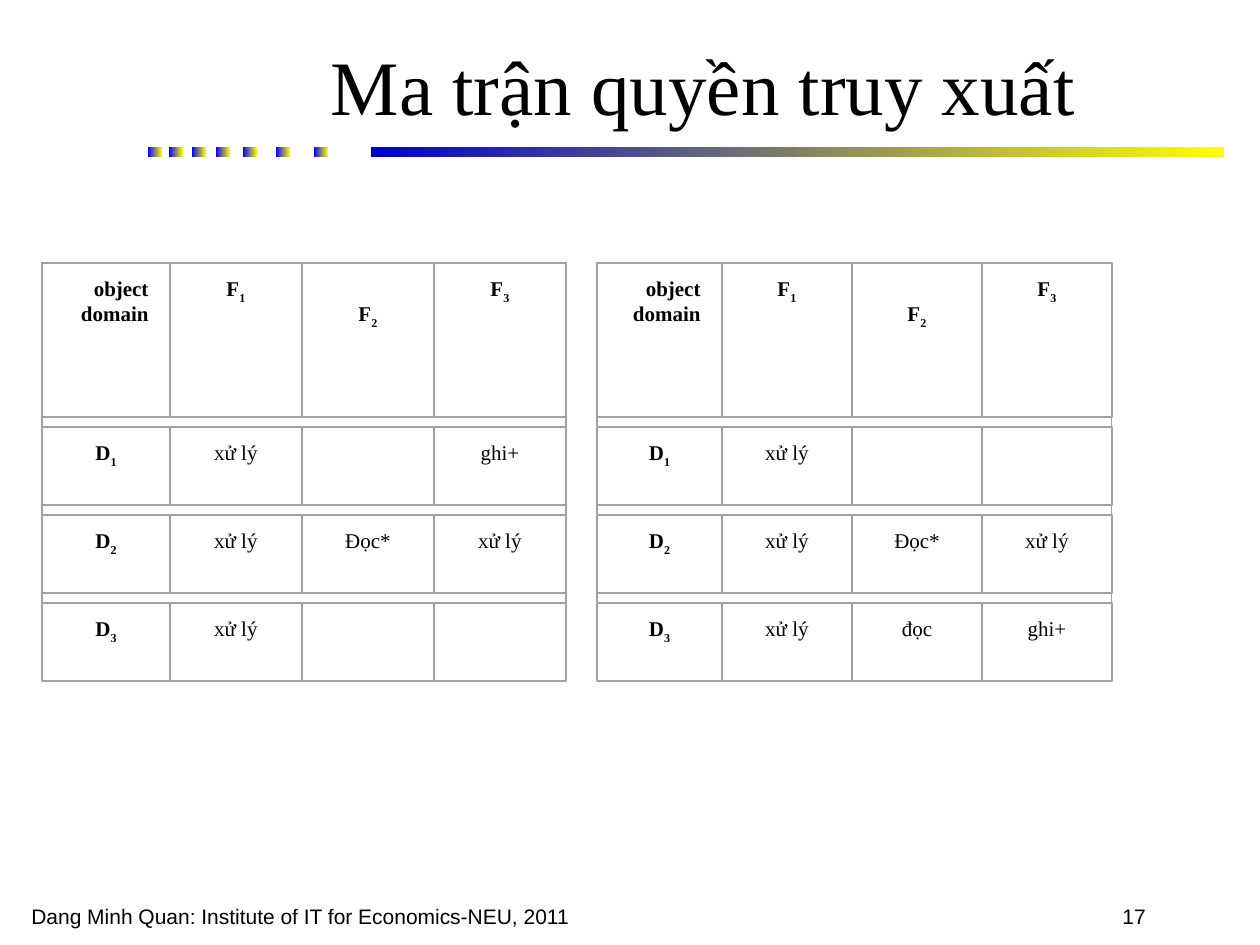
from itertools import accumulate
from pptx import Presentation, util as u
from pptx.dml.color import RGBColor
from pptx.enum import shapes as s, text as t

# Content: "_" marks the subscript that follows
TITLE = "Ma trận quyền truy xuất"
FOOT = "Dang Minh Quan: Institute of IT for Economics-NEU, 2011"
PAGE = "17"
HEAD = ["object\ndomain", "F_1", "F_2", "F_3"]
TABLES = [  # left edge, column widths, rows
    (42, [128, 132, 132, 132], [
        HEAD,
        ["D_1", "xử lý", "", "ghi+"],
        ["D_2", "xử lý", "Đọc*", "xử lý"],
        ["D_3", "xử lý", "", ""]]),
    (597, [125, 130, 130, 130], [
        HEAD,
        ["D_1", "xử lý", "", ""],
        ["D_2", "xử lý", "Đọc*", "xử lý"],
        ["D_3", "xử lý", "đọc", "ghi+"]]),
]
DOTS = [148, 169, 192, 216, 243, 276, 314]
TOP, GAP, HEIGHTS = 263, 10, [154, 78, 78, 78]
LINE = 25  # height of one line of cell text
COLORS = {"ink": "000000", "rule": "A0A0A0", "sun": "FFFF00",
          "dot": "0000FF", "bar": "0000CC"}
SERIF, SANS = "Times New Roman", "Arial"
LEFT, MID, RIGHT = t.PP_ALIGN.LEFT, t.PP_ALIGN.CENTER, t.PP_ALIGN.RIGHT


def px(n):
    return u.Emu(round(n * 914400 / 126))


def color(name):
    return RGBColor.from_string(COLORS[name])


def rect(home, *box):
    shape = home.shapes.add_shape(s.MSO_SHAPE.RECTANGLE, *map(px, box))
    shape.shadow.inherit = False
    return shape


def band(home, box, name):
    shape = rect(home, *box)
    shape.line.fill.background()
    shape.fill.gradient()
    shape.fill.gradient_angle = 180
    for stop, key in zip(shape.fill.gradient_stops, ("sun", name)):
        stop.color.rgb = color(key)


def frame(home, box, width):
    shape = rect(home, *box)
    shape.fill.background()
    shape.line.color.rgb = color("rule")
    shape.line.width = u.Pt(width)


def write(home, box, words, size=12, font=SERIF, align=MID, bold=False):
    body = home.shapes.add_textbox(*map(px, box)).text_frame
    body.word_wrap = True
    body.text = words
    for para in body.paragraphs:
        para.alignment = align
        base, _, sub = para.text.partition("_")
        para.text = base
        if sub:
            low = para.add_run()
            low.text = sub
            low.font._element.set("baseline", "-30000")
        for run in para.runs:
            run.font.name, run.font.size = font, u.Pt(size)
            run.font.bold = bold
            run.font.color.rgb = color("ink")
    return body


def matrix(slide, left, widths, rows):
    group = slide.shapes.add_group_shape()
    xs = list(accumulate(widths, initial=left))
    ys = list(accumulate((h + GAP for h in HEIGHTS), initial=TOP))
    for r, (y, high, row) in enumerate(zip(ys, HEIGHTS, rows)):
        for c, (x, wide, words) in enumerate(zip(xs, widths, row)):
            if words:
                body = write(group, (x + 9, y + 6, wide - 18, high - 12), words,
                             align=MID if r or c else RIGHT,
                             bold=r == 0 or c == 0)
                if words == "F_2":  # sits one line lower
                    body.margin_top += px(LINE)
            frame(group, (x, y, wide, high), 0)
    frame(group, (left, TOP, sum(widths), ys[-1] - GAP - TOP), 0.62)


def main():
    deck = Presentation()
    deck.slide_width, deck.slide_height = px(1260), px(945)
    slide = deck.slides.add_slide(deck.slide_layouts[6])

    # Row of dots and long bar under the title
    for x in DOTS:
        band(slide, (x, 147, 14, 10), "dot")
    band(slide, (371, 147, 853, 10), "bar")

    # Footer and title
    write(slide, (1110, 897, 121, 38), PAGE, font=SANS, align=LEFT)
    write(slide, (19, 897, 580, 38), FOOT, font=SANS, align=LEFT)
    title = write(slide, (157, 32, 1092, 105), TITLE, size=44)
    title.vertical_anchor = t.MSO_ANCHOR.MIDDLE

    # Access matrices
    for table in TABLES:
        matrix(slide, *table)
    deck.save("out.pptx")


if __name__ == "__main__":
    main()
